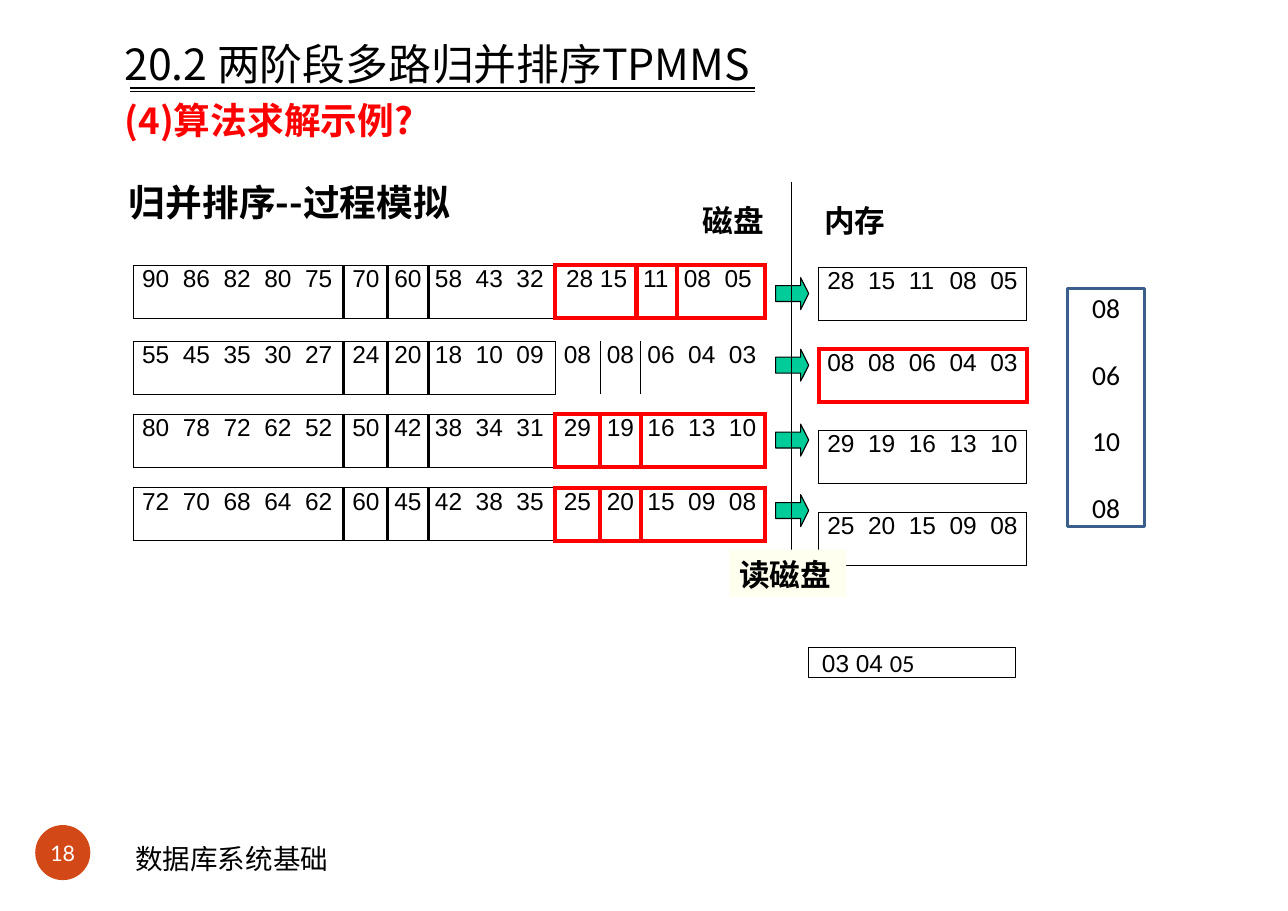
import lxml.etree
import pptx
import pptx.dml.color
import pptx.enum.shapes
import pptx.enum.text
import pptx.oxml
import pptx.oxml.ns
import pptx.util

Inches = pptx.util.Inches
Pt = pptx.util.Pt
RGBColor = pptx.dml.color.RGBColor
Shape = pptx.enum.shapes.MSO_SHAPE
Align = pptx.enum.text.PP_ALIGN
Anchor = pptx.enum.text.MSO_ANCHOR
qn = pptx.oxml.ns.qn

INK = RGBColor(0, 0, 0)
RED = RGBColor(0xFF, 0, 0)
GREEN = RGBColor(0, 0xCC, 0x99)
CREAM = RGBColor(0xFF, 0xFF, 0xEF)
BLUE = RGBColor(0x3A, 0x5F, 0x8C)
RUST = RGBColor(0xD3, 0x48, 0x17)
WHITE = RGBColor(0xFF, 0xFF, 0xFF)

HAN = "Noto Sans CJK SC"
THIN, THICK, HOT = (INK, 0.75), (INK, 2.25), (RED, 3)
NO_STYLE = "{2D5ABB26-0587-4C30-8999-92F81FD0307C}"

# Column widths of a sorted run on disk, and of a block in memory
WIDE = [0.39, 0.37, 0.37, 0.37, 0.41, 0.4, 0.37, 0.37, 0.37, 0.41,
        0.41, 0.37, 0.37, 0.37, 0.39]
JOINED = WIDE[:10] + [0.74, 0.37, 0.37, 0.43]
BLOCK = [0.39, 0.37, 0.37, 0.37, 0.39]
ROW, GAP = 0.48, 0.26

# Top, values left of the last block, values of the last block, its line
RUNS = [
    (2.41, "90 86 82 80 75 70 60 58 43 32", ["28 15", "11", "08", "05"], HOT),
    (3.1, "55 45 35 30 27 24 20 18 10 09", ["08", "08", "06", "04", "03"], None),
    (3.76, "80 78 72 62 52 50 42 38 34 31", ["29", "19", "16", "13", "10"], HOT),
    (4.43, "72 70 68 64 62 60 45 42 38 35", ["25", "20", "15", "09", "08"], HOT),
]
MEMORY = [
    ("28 15 11 08 05", THIN),
    ("08 08 06 04 03", HOT),
    ("29 19 16 13 10", THIN),
    ("25 20 15 09 08", THIN),
]
ARROWS = [2.52, 3.17, 3.85, 4.49]


def place(*sizes):
    return [Inches(size) for size in sizes]


def style(run, size, font, color=INK, bold=False):
    run.font.size = Pt(size)
    run.font.name = font
    run.font.bold = bold
    run.font.color.rgb = color
    east = lxml.etree.SubElement(run._r.get_or_add_rPr(), qn("a:ea"))
    east.set("typeface", font)


def inset(frame, side, top):
    frame.margin_left = frame.margin_right = Inches(side)
    frame.margin_top = frame.margin_bottom = Inches(top)


def label(slide, spot, text, size, font, bold=False, pad=(0, 0)):
    box = slide.shapes.add_textbox(*place(*spot))
    box.text_frame.word_wrap = True
    inset(box.text_frame, *pad)
    box.text_frame.text = text
    style(box.text_frame.paragraphs[0].runs[0], size, font, bold=bold)
    return box


def solid(slide, kind, spot, fill=None, line=None):
    """Add a preset shape with an optional fill and (colour, points) line."""
    shape = slide.shapes.add_shape(kind, *place(*spot))
    shape.shadow.inherit = False
    if fill is None:
        shape.fill.background()
    else:
        shape.fill.solid()
        shape.fill.fore_color.rgb = fill
    if line is None:
        shape.line.fill.background()
    else:
        shape.line.color.rgb = line[0]
        shape.line.width = Pt(line[1])
    return shape


def rule(slide, x1, y1, x2, y2, points):
    line = slide.shapes.add_connector(
        pptx.enum.shapes.MSO_CONNECTOR.STRAIGHT, *place(x1, y1, x2, y2))
    line.line.color.rgb = INK
    line.line.width = Pt(points)
    lxml.etree.SubElement(line._element.spPr, qn("a:effectLst"))


def grid(slide, left, top, widths, heights):
    """Add a bare table with no style and no cell margins."""
    frame = slide.shapes.add_table(
        len(heights), len(widths),
        *place(left, top, sum(widths), sum(heights)))
    table = frame.table
    table.first_row = table.horz_banding = False
    table._tbl.tblPr.find(qn("a:tableStyleId")).text = NO_STYLE
    for column, width in zip(table.columns, widths):
        column.width = Inches(width)
    for row, height in zip(table.rows, heights):
        row.height = Inches(height)
    for cell in table.iter_cells():
        inset(cell, 0, 0)
        cell.fill.background()
        end = cell.text_frame.paragraphs[0]._p.get_or_add_endParaRPr()
        end.set("sz", "1000")
    return table


def border(cell, sides):
    """Draw lines given in the order left, right, top, bottom."""
    props = cell._tc.get_or_add_tcPr()
    spot = 0
    for side, line in zip("LRTB", sides):
        if line is None:
            continue
        edge = pptx.oxml.parse_xml(
            '<a:ln%s xmlns:a="http://schemas.openxmlformats.org/drawingml/2006/main"'
            ' w="%d"><a:solidFill><a:srgbClr val="%s"/></a:solidFill></a:ln%s>'
            % (side, Pt(line[1]), line[0], side))
        props.insert(spot, edge)
        spot += 1


def fill_row(cells, values, walls, rims):
    """Write values; walls maps column edges to lines, rims lists top lines."""
    for i, (cell, value) in enumerate(zip(cells, values)):
        border(cell, [walls.get(i), walls.get(i + 1), rims[i], rims[i]])
        para = cell.text_frame.paragraphs[0]
        para.text = value
        pad = 0.1 if " " in value else 0.08 if i in (0, 5, 10) else 0.06
        para._p.get_or_add_pPr().set("marL", str(Inches(pad)))
        style(para.runs[0], 16, "Arial")


def disk(slide):
    for top, head, tail, line in RUNS:
        values = head.split() + tail
        count = len(values)
        widths = WIDE if count == len(WIDE) else JOINED
        table = grid(slide, 1.21, top, widths, [ROW])
        walls = {0: THIN, 5: THICK, 6: THICK, 10: line or THIN,
                 11: line or THIN, count: line}
        rims = [THIN] * 10 + [line] * len(tail)
        fill_row(table.rows[0].cells, values, walls, rims)


def memory(slide):
    table = grid(slide, 7.43, 2.43, BLOCK, [ROW, GAP] * 3 + [ROW])
    for i, (values, line) in enumerate(MEMORY):
        fill_row(table.rows[2 * i].cells, values.split(),
                 {0: line, 5: line}, [line] * 5)


def title(slide):
    head = slide.shapes.title
    head.left, head.top, head.width, head.height = place(1.13, 0.25, 9.42, 1.01)
    frame = head.text_frame
    frame.auto_size = pptx.enum.text.MSO_AUTO_SIZE.SHAPE_TO_FIT_TEXT
    frame.vertical_anchor = Anchor.TOP
    inset(frame, 0, 0)
    para = frame.paragraphs[0]
    para.text = "20.2 两阶段多路归并排序TPMMS \v(4)算法求解示例?"
    para.alignment = Align.LEFT
    para.line_spacing = 1.2
    style(para.runs[0], 28, "Noto Sans CJK TC")
    style(para.runs[1], 24, "Noto Sans CJK TC", RED, True)


def queue(slide):
    box = solid(slide, Shape.RECTANGLE, (9.69, 2.62, 0.7, 2.16), line=(BLUE, 2))
    frame = box.text_frame
    frame.text = "08\n06\n10\n08"
    frame.vertical_anchor = Anchor.MIDDLE
    for i, para in enumerate(frame.paragraphs):
        para.alignment = Align.CENTER
        para.space_before = Pt(22 if i else 0)
        style(para.runs[0], 18, "Calibri")


def output(slide):
    box = solid(slide, Shape.RECTANGLE, (7.34, 5.88, 1.88, 0.27), line=THIN)
    inset(box.text_frame, 0, 0)
    box.text_frame.vertical_anchor = Anchor.TOP
    para = box.text_frame.paragraphs[0]
    para.alignment = Align.LEFT
    para._p.get_or_add_pPr().set("marL", str(Inches(0.12)))
    for text, font in [("03 04 ", "Arial"), ("05", "Calibri")]:
        run = para.add_run()
        run.text = text
        style(run, 16, font)


def footer(slide):
    badge = solid(slide, Shape.OVAL, (0.32, 7.49, 0.5, 0.5), RUST)
    frame = badge.text_frame
    inset(frame, 0, 0)
    frame.word_wrap = False
    frame.vertical_anchor = Anchor.MIDDLE
    frame.text = "18"
    frame.paragraphs[0].alignment = Align.CENTER
    style(frame.paragraphs[0].runs[0], 14, "Lato", WHITE)
    label(slide, (1.13, 7.59, 2.55, 0.4), "数据库系统基础", 18, "Calibri",
          pad=(0.1, 0.05))


def main():
    deck = pptx.Presentation()
    deck.slide_width, deck.slide_height = place(11.69, 8.27)
    slide = deck.slides.add_slide(deck.slide_layouts[5])
    footer(slide)
    memory(slide)
    for top in ARROWS:
        arrow = solid(slide, Shape.RIGHT_ARROW, (7.04, top, 0.3, 0.29), GREEN, THIN)
        arrow.adjustments[1] = 0.25
    rule(slide, 7.18, 1.65, 7.18, 4.99, 0.75)
    note = label(slide, (6.62, 4.99, 1.06, 0.43), "读磁盘", 20, HAN, True,
                 (0.09, 0.06))
    note.fill.solid()
    note.fill.fore_color.rgb = CREAM
    label(slide, (7.48, 1.83, 0.58, 0.31), "内存", 20, HAN, True)
    label(slide, (6.38, 1.83, 0.58, 0.31), "磁盘", 20, HAN, True)
    title(slide)
    label(slide, (1.17, 1.63, 2.98, 0.36), "归并排序--过程模拟", 24, HAN, True)
    disk(slide)
    queue(slide)
    output(slide)
    for y in (0.8, 0.83):
        rule(slide, 1.18, y, 6.85, y, 1)
    deck.save("out.pptx")


if __name__ == "__main__":
    main()
